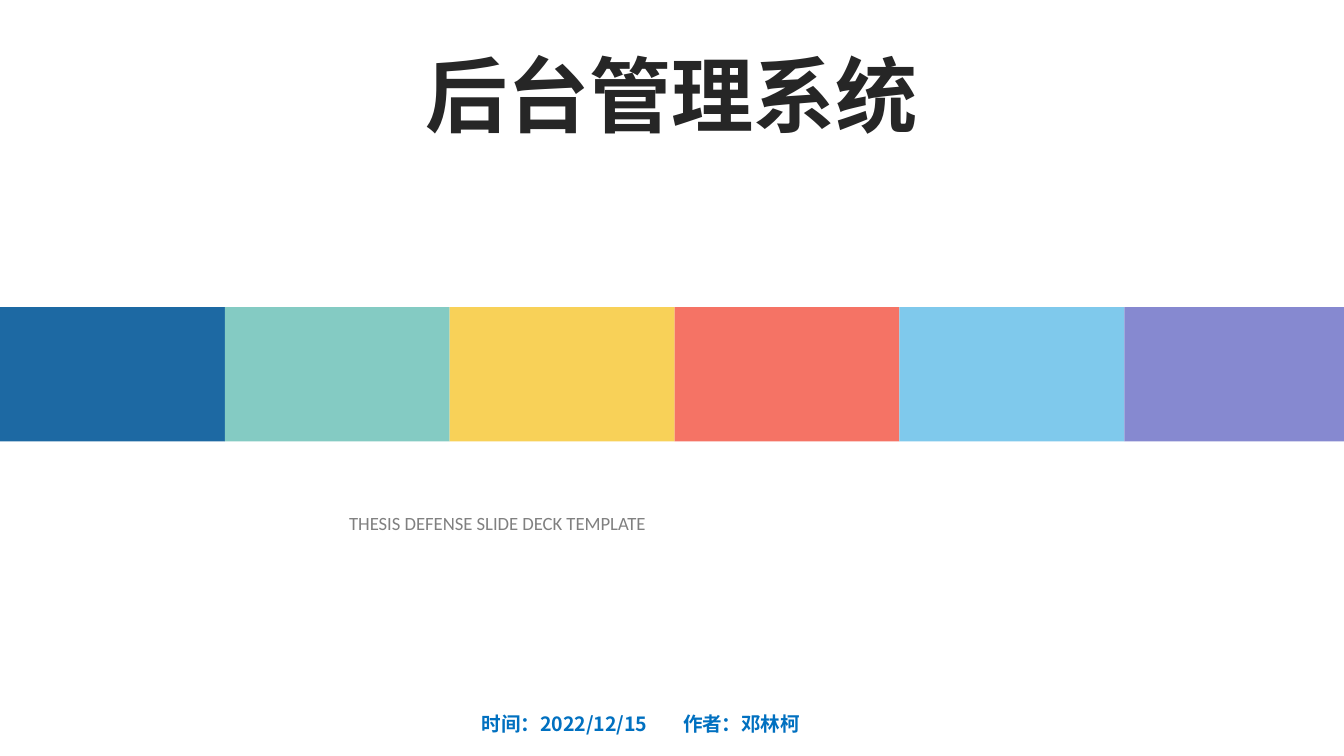
from lxml.etree import SubElement
from pptx import Presentation
from pptx.dml.color import RGBColor
from pptx.enum.shapes import MSO_SHAPE
from pptx.enum.text import MSO_ANCHOR, PP_ALIGN
from pptx.oxml.ns import qn
from pptx.util import Cm, Pt


def paint(color_format, hex_color):
    color_format.rgb = RGBColor.from_string(hex_color)


def add_text(box, text, font_name, size, hex_color, bold, alignment, tab_stop=None):
    """Add a one-paragraph text box; box is left, top, width, height in cm."""
    shape = slide.shapes.add_textbox(*[Cm(length) for length in box])
    shape.text_frame.word_wrap = True
    paragraph = shape.text_frame.paragraphs[0]
    paragraph.text = text
    paragraph.alignment = alignment
    if tab_stop:
        tabs = SubElement(paragraph._p.get_or_add_pPr(), qn("a:tabLst"))
        SubElement(tabs, qn("a:tab"), pos=str(Cm(tab_stop)), algn="l")
    font = paragraph.font
    font.name, font.size, font.bold = font_name, Pt(size), bold
    paint(font.color, hex_color)
    return shape


presentation = Presentation()
presentation.slide_width = Cm(25.4)
presentation.slide_height = Cm(14.28)
slide = presentation.slides.add_slide(presentation.slide_layouts[6])

title = add_text((1.27, 0.58, 22.86, 2.39), "后台管理系统",
                 "Calibri", 44, "262626", True, PP_ALIGN.CENTER)
title.text_frame.vertical_anchor = MSO_ANCHOR.MIDDLE

add_text((6.35, 9.55, 12.7, 0.58), "THESIS DEFENSE SLIDE DECK TEMPLATE",
         "Calibri", 10, "808080", False, PP_ALIGN.JUSTIFY)

add_text((8.86, 13.33, 8.13, 0.97), "时间：2022/12/15\t作者：邓林柯",
         "Noto Sans CJK SC", 10.5, "0070C0", True, PP_ALIGN.LEFT, tab_stop=3.8)

band_colors = ["1D69A3", "84CBC3", "F8D158", "F57365", "7FC9EC", "8689D0"]
band_width = 4.25
for index, band_color in enumerate(band_colors):
    band = slide.shapes.add_shape(MSO_SHAPE.RECTANGLE, Cm(index * band_width),
                                  Cm(5.8), Cm(band_width), Cm(2.54))
    band.shadow.inherit = False
    band.fill.solid()
    paint(band.fill.fore_color, band_color)
    band.line.fill.background()

presentation.save("out.pptx")
